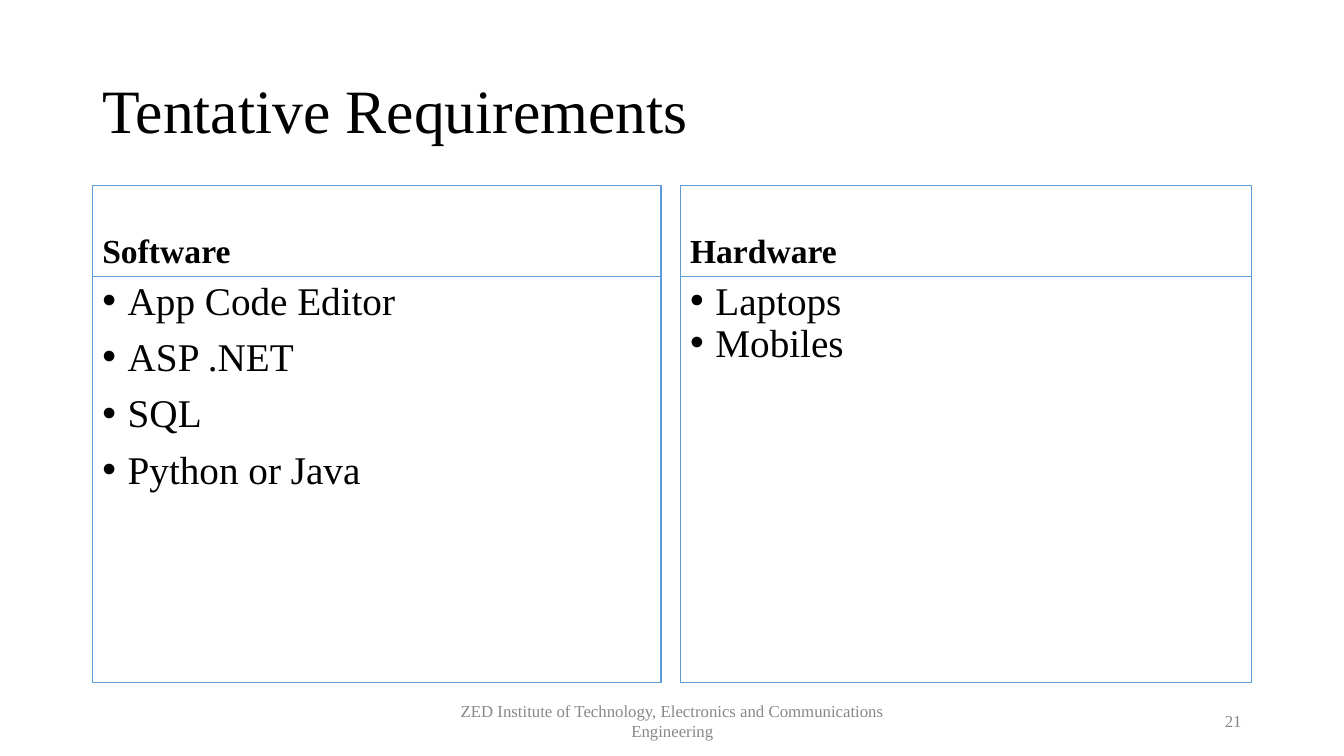
from lxml import etree
from pptx import Presentation
from pptx.dml.color import RGBColor
from pptx.enum.text import MSO_ANCHOR, PP_ALIGN
from pptx.oxml.ns import qn
from pptx.util import Cm, Pt

TOP, MIDDLE, BOTTOM = MSO_ANCHOR.TOP, MSO_ANCHOR.MIDDLE, MSO_ANCHOR.BOTTOM
LEFT, CENTER, RIGHT = PP_ALIGN.LEFT, PP_ALIGN.CENTER, PP_ALIGN.RIGHT

TITLE = "Tentative Requirements"
REQUIREMENTS = [
    {"heading": "Software", "gap": 10, "width": 14.33,
     "items": ["App Code Editor", "ASP .NET", "SQL", "Python or Java"]},
    {"heading": "Hardware", "gap": 0, "width": 14.4,
     "items": ["Laptops", "Mobiles"]},
]
FOOTER = "ZED Institute of Technology, Electronics and Communications Engineering"
PAGE_NUMBER = "21"

COLORS = {"text": "000000", "muted": "888888", "border": "5B9BD5", "paper": "FFFFFF"}
FONT = "Times New Roman"
STYLES = {
    "title": {"size": Pt(44), "bold": False},
    "heading": {"size": Pt(24), "bold": True},
    "item": {"size": Pt(28), "bold": False},
    "footer": {"size": Pt(12), "bold": False},
}

MARGIN, CONTENT_WIDTH, COLUMN_GAP = 2.33, 29.21, 0.48
TITLE_TOP, TITLE_HEIGHT = 1.02, 3.68
HEADING_TOP, HEADING_HEIGHT, ITEMS_HEIGHT = 4.67, 2.29, 10.24
FOOTER_TOP, FOOTER_HEIGHT = 17.65, 1.02
FOOTER_LEFT, FOOTER_WIDTH, NUMBER_WIDTH = 11.23, 11.43, 7.62
BULLET_INDENT = Cm(0.64)


def set_bullet(paragraph):
    """Give a paragraph a hanging round bullet."""
    properties = paragraph._p.get_or_add_pPr()
    properties.set("marL", str(BULLET_INDENT))
    properties.set("indent", str(-BULLET_INDENT))
    etree.SubElement(properties, qn("a:buFont")).set("typeface", "Arial")
    etree.SubElement(properties, qn("a:buChar")).set("char", "•")


def add_text(slide, bounds, lines, style, anchor=TOP, align=LEFT, color="text",
             border=None, spacing=0.9, gap=0, bulleted=False):
    """Place lines of text in a box with an optional border."""
    box = slide.shapes.add_textbox(*(Cm(length) for length in bounds))
    if border:
        box.line.color.rgb = RGBColor.from_string(COLORS[border])
        box.line.width = Pt(0.75)
    frame = box.text_frame
    frame.word_wrap = True
    frame.vertical_anchor = anchor
    for index, line in enumerate(lines):
        paragraph = frame.paragraphs[0] if index == 0 else frame.add_paragraph()
        layout = {"alignment": align, "line_spacing": spacing,
                  "space_before": Pt(gap if index else 0)}
        for name, value in layout.items():
            setattr(paragraph, name, value)
        if bulleted:
            set_bullet(paragraph)
        run = paragraph.add_run()
        run.text = line
        for name, value in {"name": FONT, **STYLES[style]}.items():
            setattr(run.font, name, value)
        run.font.color.rgb = RGBColor.from_string(COLORS[color])


def main():
    """Build the requirements slide and save it."""
    deck = Presentation()
    deck.slide_width, deck.slide_height = Cm(33.87), Cm(19.05)
    slide = deck.slides.add_slide(deck.slide_layouts[6])
    slide.background.fill.solid()
    slide.background.fill.fore_color.rgb = RGBColor.from_string(COLORS["paper"])

    add_text(slide, (MARGIN, TITLE_TOP, CONTENT_WIDTH, TITLE_HEIGHT), [TITLE],
             "title", anchor=MIDDLE, border="paper")

    column_left = MARGIN
    for group in REQUIREMENTS:
        width = group["width"]
        add_text(slide, (column_left, HEADING_TOP, width, HEADING_HEIGHT),
                 [group["heading"]], "heading", anchor=BOTTOM, border="border")
        add_text(slide, (column_left, HEADING_TOP + HEADING_HEIGHT, width, ITEMS_HEIGHT),
                 group["items"], "item", border="border", gap=group["gap"], bulleted=True)
        column_left += width + COLUMN_GAP

    number_left = MARGIN + CONTENT_WIDTH - NUMBER_WIDTH
    for left, width, line, align in [(FOOTER_LEFT, FOOTER_WIDTH, FOOTER, CENTER),
                                     (number_left, NUMBER_WIDTH, PAGE_NUMBER, RIGHT)]:
        add_text(slide, (left, FOOTER_TOP, width, FOOTER_HEIGHT), [line], "footer",
                 anchor=MIDDLE, align=align, color="muted", spacing=1.0)

    deck.save("out.pptx")


if __name__ == "__main__":
    main()
